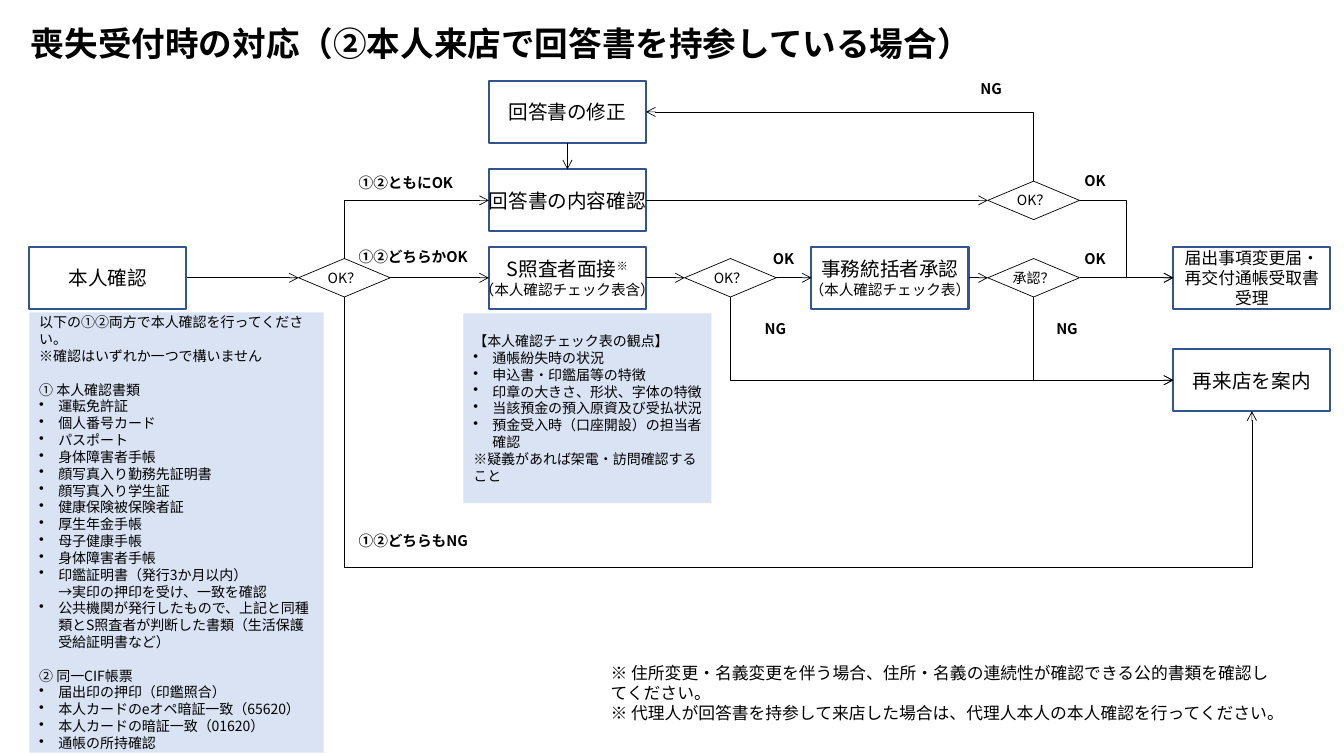
from dataclasses import dataclass

from lxml import etree
from pptx import Presentation
from pptx.dml.color import RGBColor
from pptx.enum.shapes import MSO_CONNECTOR, MSO_SHAPE
from pptx.enum.text import MSO_ANCHOR, PP_ALIGN
from pptx.oxml.ns import qn
from pptx.util import Cm, Pt

RECTANGLE, DECISION = MSO_SHAPE.RECTANGLE, MSO_SHAPE.FLOWCHART_DECISION
STRAIGHT, ELBOW = MSO_CONNECTOR.STRAIGHT, MSO_CONNECTOR.ELBOW
LEFT, CENTER, MIDDLE = PP_ALIGN.LEFT, PP_ALIGN.CENTER, MSO_ANCHOR.MIDDLE
TOP_SITE, LEFT_SITE, BOTTOM_SITE, RIGHT_SITE = range(4)


@dataclass(frozen=True)
class Theme:
    font: str = "Noto Sans CJK JP"
    black: RGBColor = RGBColor(0x00, 0x00, 0x00)
    white: RGBColor = RGBColor(0xFF, 0xFF, 0xFF)
    border: RGBColor = RGBColor(0x32, 0x54, 0x91)
    panel: RGBColor = RGBColor(0xDA, 0xE3, 0xF3)
    title: Pt = Pt(24)
    step: Pt = Pt(14)
    note: Pt = Pt(12)
    label: Pt = Pt(10.5)
    small: Pt = Pt(10)


theme = Theme()


def write(shape, lines, size, bold=False, align=LEFT, wrap=True):
    """Fill a shape with one paragraph per line; a leading • makes a bullet."""
    frame = shape.text_frame
    frame.word_wrap = wrap
    frame.vertical_anchor = MIDDLE
    for index, line in enumerate(lines):
        para = frame.add_paragraph() if index else frame.paragraphs[0]
        para.text = line.removeprefix("•")
        para.alignment = align
        if line.startswith("•"):
            properties = para._p.get_or_add_pPr()
            properties.set("marL", str(Cm(0.48)))
            properties.set("indent", str(-Cm(0.48)))
            etree.SubElement(properties, qn("a:buChar")).set("char", "•")
        para.font.size = size
        para.font.bold = bold
        para.font.color.rgb = theme.black
        para.font.name = theme.font
        defaults = para._p.pPr.find(qn("a:defRPr"))
        etree.SubElement(defaults, qn("a:ea")).set("typeface", theme.font)
    return frame


def connect(kind, source, source_site, target, target_site, preset=None, bend=None):
    """Join two steps with an arrow; a preset makes a bend that leaves vertically."""
    arrow = page.shapes.add_connector(kind, 0, 0, 0, 0)
    arrow.begin_connect(source, source_site)
    arrow.end_connect(target, target_site)
    arrow.line.color.rgb = theme.black
    arrow.line.width = Pt(0.5)
    properties = arrow._element.spPr
    etree.SubElement(arrow.line._get_or_add_ln(), qn("a:tailEnd")).set("type", "arrow")
    etree.SubElement(properties, qn("a:effectLst"))
    if preset is None:
        return
    across, down = arrow.end_x - arrow.begin_x, arrow.end_y - arrow.begin_y
    middle_x, middle_y = arrow.begin_x + across // 2, arrow.begin_y + down // 2
    rightwards, upwards = across > 0, down < 0
    arrow.width, arrow.height = abs(down), abs(across)
    arrow.left, arrow.top = middle_x - arrow.width // 2, middle_y - arrow.height // 2
    transform = properties.find(qn("a:xfrm"))
    transform.set("rot", str((90 if rightwards and upwards else 270) * 60000))
    transform.set("flipH", str(int(rightwards)))
    transform.set("flipV", str(int(upwards)))
    geometry = properties.find(qn("a:prstGeom"))
    geometry.set("prst", preset)
    if bend is not None:
        guide = etree.SubElement(geometry.find(qn("a:avLst")), qn("a:gd"))
        guide.set("name", "adj1")
        guide.set("fmla", f"val {bend}")


deck = Presentation()
deck.slide_width, deck.slide_height = Cm(33.87), Cm(19.05)
page = deck.slides.add_slide(deck.slide_layouts[6])

title = page.shapes.add_textbox(Cm(0.53), Cm(0.28), Cm(29.21), Cm(1.73))
heading = write(title, ["喪失受付時の対応（②本人来店で回答書を持参している場合）"], theme.title, bold=True)
heading.paragraphs[0].line_spacing = 0.9

# Steps and decisions: name, centre x, centre y, lines
MAIN_ROW, CHECK_ROW, FIX_ROW, RETURN_ROW = 7.0, 5.05, 2.82, 9.58
INTERVIEW_X, SECOND_DECISION_X, RESULT_X = 14.3, 26.05, 31.55
steps = [
    ("identity", 2.72, MAIN_ROW, ["本人確認"]),
    ("interview", INTERVIEW_X, MAIN_ROW, ["S照査者面接", "（本人確認チェック表含）"]),
    ("approval", 22.43, MAIN_ROW, ["事務統括者承認", "（本人確認チェック表）"]),
    ("accepted", RESULT_X, MAIN_ROW, ["届出事項変更届・", "再交付通帳受取書受理"]),
    ("revisit", RESULT_X, RETURN_ROW, ["再来店を案内"]),
    ("check", INTERVIEW_X, CHECK_ROW, ["回答書の内容確認"]),
    ("fix", INTERVIEW_X, FIX_ROW, ["回答書の修正"]),
]
decisions = [
    ("identity_ok", 8.68, MAIN_ROW, ["OK？"]),
    ("interview_ok", 18.41, MAIN_ROW, ["OK？"]),
    ("approved", SECOND_DECISION_X, MAIN_ROW, ["承認？"]),
    ("check_ok", SECOND_DECISION_X, CHECK_ROW, ["OK？"]),
]
nodes = {}
for group, outline, width, height in ((steps, RECTANGLE, 3.96, 1.56), (decisions, DECISION, 2.31, 0.97)):
    for name, x, y, lines in group:
        node = page.shapes.add_shape(outline, Cm(x - width / 2), Cm(y - height / 2), Cm(width), Cm(height))
        node.shadow.inherit = False
        if outline == RECTANGLE:
            node.fill.solid()
            node.fill.fore_color.rgb = theme.white
            node.line.color.rgb, node.line.width = theme.border, Pt(1.5)
            size = theme.note if name == "accepted" else theme.step
        else:
            node.fill.background()
            node.line.color.rgb, node.line.width = theme.black, Pt(0.5)
            size = theme.small
        write(node, lines, size, align=CENTER, wrap=name in ("identity", "accepted", "revisit"))
        nodes[name] = node

for name in ("interview", "approval"):
    nodes[name].text_frame.paragraphs[1].font.size = theme.label
mark = nodes["interview"].text_frame.paragraphs[0].add_run()
mark.text = "※"
mark.font._element.set("baseline", "30000")

# Explanatory panels
identity_lines = [
    "以下の①②両方で本人確認を行ってください。",
    "※確認はいずれか一つで構いません",
    "① 本人確認書類",
    "•運転免許証",
    "•個人番号カード",
    "•パスポート",
    "•身体障害者手帳",
    "•顔写真入り勤務先証明書",
    "•顔写真入り学生証",
    "•健康保険被保険者証",
    "•厚生年金手帳",
    "•母子健康手帳",
    "•身体障害者手帳",
    "•印鑑証明書（発行3か月以内）\v→実印の押印を受け、一致を確認",
    "•公共機関が発行したもので、上記と同種類とS照査者が判断した書類（生活保護受給証明書など）",
    "② 同一CIF帳票",
    "•届出印の押印（印鑑照合）",
    "•本人カードのeオペ暗証一致（65620）",
    "•本人カードの暗証一致（01620）",
    "•通帳の所持確認",
]
interview_lines = [
    "【本人確認チェック表の観点】",
    "•通帳紛失時の状況",
    "•申込書・印鑑届等の特徴",
    "•印章の大きさ、形状、字体の特徴",
    "•当該預金の預入原資及び受払状況",
    "•預金受入時（口座開設）の担当者確認",
    "※疑義があれば架電・訪問確認すること",
]
panels = [
    (0.74, 7.87, 7.42, 11.1, identity_lines),
    (11.68, 7.9, 6.25, 4.78, interview_lines),
]
for left, top, width, height, lines in panels:
    panel = page.shapes.add_shape(RECTANGLE, Cm(left), Cm(top), Cm(width), Cm(height))
    panel.shadow.inherit = False
    panel.fill.solid()
    panel.fill.fore_color.rgb = theme.panel
    panel.line.fill.background()
    for para in write(panel, lines, theme.small).paragraphs:
        if para.text.startswith(("① ", "② ")):
            para.space_before = Pt(12)

# Branch labels: left, top, width, text
labels = [
    (8.79, 4.19, 3.33, "①②ともにOK"),
    (8.79, 6.07, 3.33, "①②どちらかOK"),
    (8.79, 13.21, 3.33, "①②どちらもNG"),
    (19.02, 7.87, 1.65, "NG"),
    (19.23, 6.12, 1.65, "OK"),
    (26.37, 7.87, 1.65, "NG"),
    (27.08, 6.12, 1.65, "OK"),
    (27.08, 4.14, 1.65, "OK"),
    (24.46, 1.83, 1.65, "NG"),
]
for left, top, width, text in labels:
    label = page.shapes.add_textbox(Cm(left), Cm(top), Cm(width), Cm(0.81))
    write(label, [text], theme.label, bold=True)

remarks = page.shapes.add_textbox(Cm(15.14), Cm(16.87), Cm(17.37), Cm(1.19))
write(remarks, [
    "※ 住所変更・名義変更を伴う場合、住所・名義の連続性が確認できる公的書類を確認してください。",
    "※ 代理人が回答書を持参して来店した場合は、代理人本人の本人確認を行ってください。",
], theme.note)

# Arrows
main_flow = ["identity", "identity_ok", "interview", "interview_ok", "approval", "approved", "accepted"]
for source, target in [*zip(main_flow, main_flow[1:]), ("check", "check_ok")]:
    connect(STRAIGHT, nodes[source], RIGHT_SITE, nodes[target], LEFT_SITE)
connect(STRAIGHT, nodes["fix"], BOTTOM_SITE, nodes["check"], TOP_SITE)
connect(ELBOW, nodes["check_ok"], RIGHT_SITE, nodes["accepted"], LEFT_SITE)
turns = [
    ("identity_ok", TOP_SITE, "check", LEFT_SITE),
    ("interview_ok", BOTTOM_SITE, "revisit", LEFT_SITE),
    ("approved", BOTTOM_SITE, "revisit", LEFT_SITE),
    ("check_ok", TOP_SITE, "fix", RIGHT_SITE),
]
for source, source_site, target, target_site in turns:
    connect(ELBOW, nodes[source], source_site, nodes[target], target_site, "bentConnector2")
connect(ELBOW, nodes["identity_ok"], BOTTOM_SITE, nodes["revisit"], BOTTOM_SITE, "bentConnector3", 236900)

deck.save("out.pptx")
